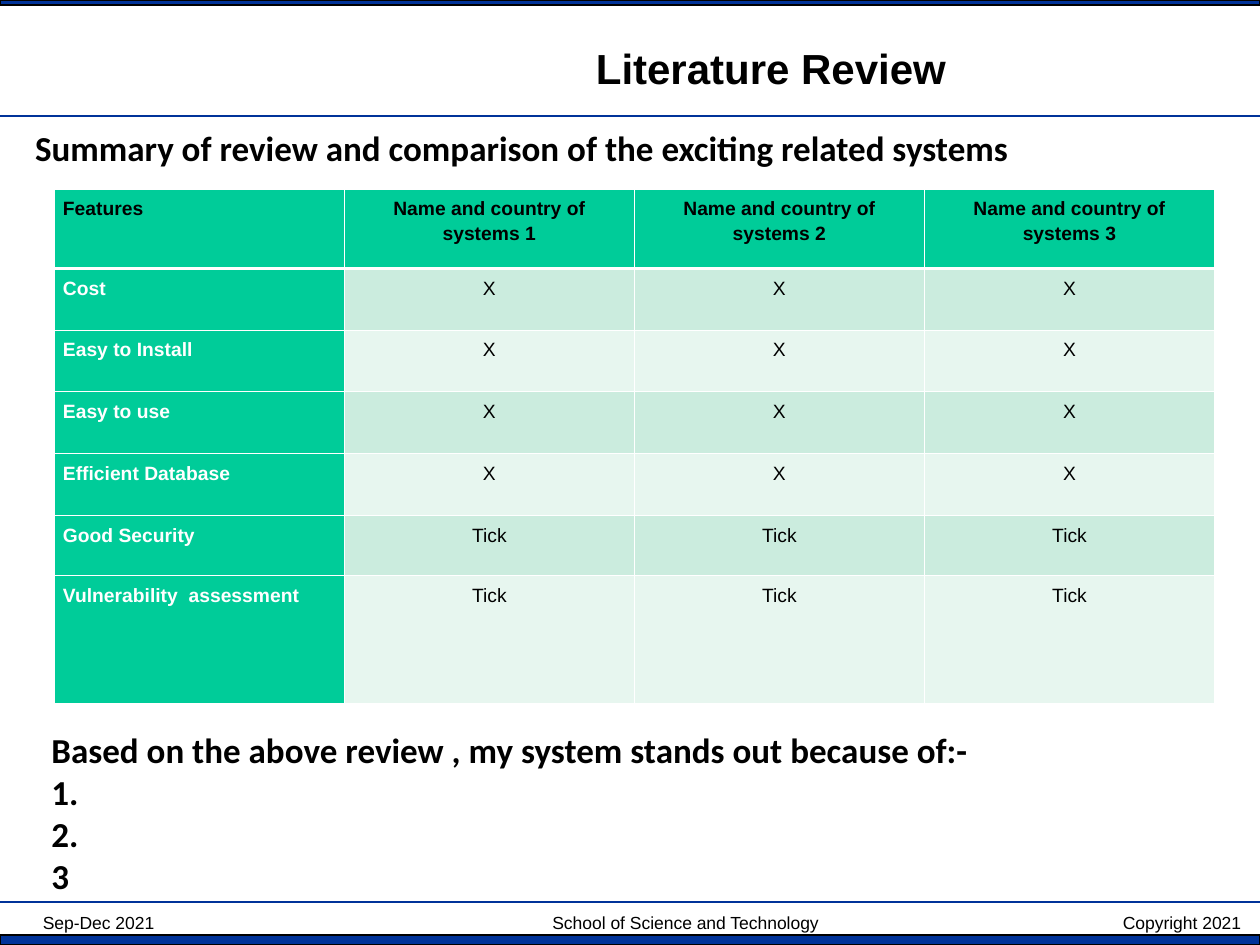
from dataclasses import dataclass

import lxml.etree
import pptx
import pptx.dml.color
import pptx.enum.shapes
import pptx.enum.text
import pptx.oxml.ns
import pptx.util

Inches, Pt = pptx.util.Inches, pptx.util.Pt
ALIGN, ANCHOR = pptx.enum.text.PP_ALIGN, pptx.enum.text.MSO_ANCHOR
qn = pptx.oxml.ns.qn

COLORS = {"navy": "003399", "black": "000000", "white": "FFFFFF",
          "green": "00CC99", "band": "CBECDE", "pale": "E7F6EF"}


@dataclass
class Bar:
    top: float
    height: float


@dataclass
class Rule:
    y: float
    width: float


@dataclass
class Note:
    left: float
    top: float
    width: float
    height: float
    lines: list[str]
    wrap: bool = True


BARS = [Bar(7.42, 0.08), Bar(0, 0.04)]
RULES = [Rule(0.92, 1), Rule(7.16, 0.75)]
NOTES = [
    Note(0.18, 0.95, 8.03, 0.44,
         ["Summary of review and comparison of the exciting related systems"], False),
    Note(0.31, 5.73, 9.45, 1.44,
         ["Based on the above review , my system stands out because of:-", "1.", "2.", "3"]),
]
FEATURES = [("Cost", "X"), ("Easy to Install", "X"), ("Easy to use", "X"),
            ("Efficient Database", "X"), ("Good Security", "Tick"),
            ("Vulnerability  assessment", "Tick")]
ROW_HEIGHTS = [0.63, 0.49, 0.49, 0.49, 0.49, 0.48, 1.01]
SYSTEMS = 3


def rgb(name: str) -> pptx.dml.color.RGBColor:
    return pptx.dml.color.RGBColor.from_string(COLORS[name])


def style(p, size: float, font: str, color: str = "black", bold: bool = False) -> None:
    p.font.size, p.font.name, p.font.bold = Pt(size), font, bold
    p.font.color.rgb = rgb(color)


def add_bar(s, bar: Bar) -> None:
    sp = s.shapes.add_shape(pptx.enum.shapes.MSO_SHAPE.RECTANGLE, 0, Inches(bar.top),
                            Inches(10), Inches(bar.height))
    sp.shadow.inherit = False
    sp.fill.solid()
    sp.fill.fore_color.rgb = rgb("navy")
    sp.line.color.rgb = rgb("black")
    sp.line.width = Pt(0.75)


def add_rule(s, rule: Rule) -> None:
    line = s.shapes.add_connector(pptx.enum.shapes.MSO_CONNECTOR.STRAIGHT, 0, Inches(rule.y),
                                  Inches(10), Inches(rule.y))
    line.line.color.rgb = rgb("navy")
    line.line.width = Pt(rule.width)
    lxml.etree.SubElement(line._element.spPr, qn("a:effectLst"))


def add_note(s, note: Note) -> None:
    tf = s.shapes.add_textbox(Inches(note.left), Inches(note.top),
                              Inches(note.width), Inches(note.height)).text_frame
    tf.word_wrap = note.wrap
    tf.vertical_anchor = ANCHOR.MIDDLE
    tf.text = "\n".join(note.lines)
    for p in tf.paragraphs:
        style(p, 20, "Calibri", bold=True)


def add_footer(s) -> None:
    tf = s.shapes.add_textbox(0, Inches(7.24), Inches(10), Inches(0.17)).text_frame
    tf.word_wrap = True
    tf.vertical_anchor = ANCHOR.MIDDLE
    tf.margin_left = Inches(0.34)
    tf.margin_top = tf.margin_right = tf.margin_bottom = 0
    p = tf.paragraphs[0]
    tabs = lxml.etree.SubElement(p._p.get_or_add_pPr(), qn("a:tabLst"))
    for position, align in ((5.1, "ctr"), (9.51, "r")):
        lxml.etree.SubElement(tabs, qn("a:tab"), pos=str(Inches(position)), algn=align)
    p.add_run().text = "Sep-Dec 2021\tSchool of Science and Technology\tCopyright 2021"
    style(p, 10, "Arial")


def set_borders(cell, row: int) -> None:
    tc_pr = cell._tc.get_or_add_tcPr()
    heavy = {0: "lnB", 1: "lnT"}.get(row)
    for i, side in enumerate(("lnL", "lnR", "lnT", "lnB")):
        width = Pt(1.47 if side == heavy else 0.45)
        ln = lxml.etree.Element(qn(f"a:{side}"), w=str(width))
        fill = lxml.etree.SubElement(ln, qn("a:solidFill"))
        lxml.etree.SubElement(fill, qn("a:srgbClr"), val=COLORS["white"])
        tc_pr.insert(i, ln)


def fill_cell(cell, row: int, col: int, text: str) -> None:
    is_label = row == 0 or col == 0
    cell.margin_left = cell.margin_right = Inches(0.07)
    cell.margin_top = cell.margin_bottom = Inches(0.05)
    cell.fill.solid()
    cell.fill.fore_color.rgb = rgb("green" if is_label else "band" if row % 2 else "pale")
    set_borders(cell, row)
    cell.text = text
    p = cell.text_frame.paragraphs[0]
    p.alignment = ALIGN.CENTER if col else ALIGN.LEFT
    p.line_spacing, p.space_after = 1.15, Pt(10)
    style(p, 11, "Arial", "white" if row and not col else "black", is_label)


def add_comparison(s) -> None:
    header = ["Features"] + [f"Name and country of systems {n + 1}" for n in range(SYSTEMS)]
    rows = [header] + [[name] + [mark] * SYSTEMS for name, mark in FEATURES]
    table = s.shapes.add_table(len(rows), len(header), Inches(0.43), Inches(1.5),
                               Inches(9.21), Inches(sum(ROW_HEIGHTS))).table
    for r, (texts, height) in enumerate(zip(rows, ROW_HEIGHTS)):
        table.rows[r].height = Inches(height)
        for c, text in enumerate(texts):
            fill_cell(table.cell(r, c), r, c, text)


def main() -> None:
    prs = pptx.Presentation()
    prs.slide_width, prs.slide_height = Inches(10), Inches(7.5)
    s = prs.slides.add_slide(prs.slide_layouts[5])

    # Frame and footer
    for bar in BARS:
        add_bar(s, bar)
    add_rule(s, RULES[0])
    add_footer(s)
    add_rule(s, RULES[1])

    # Title
    title = s.shapes.title
    title.left, title.top = Inches(2.5), Inches(0.25)
    title.width, title.height = Inches(7.33), Inches(0.58)
    title.text_frame.text = "Literature Review "
    title.text_frame.vertical_anchor = ANCHOR.MIDDLE
    p = title.text_frame.paragraphs[0]
    p.alignment = ALIGN.CENTER
    style(p, 24, "Arial", bold=True)

    # Comparison table and the text around it
    add_comparison(s)
    for note in NOTES:
        add_note(s, note)

    prs.save("out.pptx")


if __name__ == "__main__":
    main()
